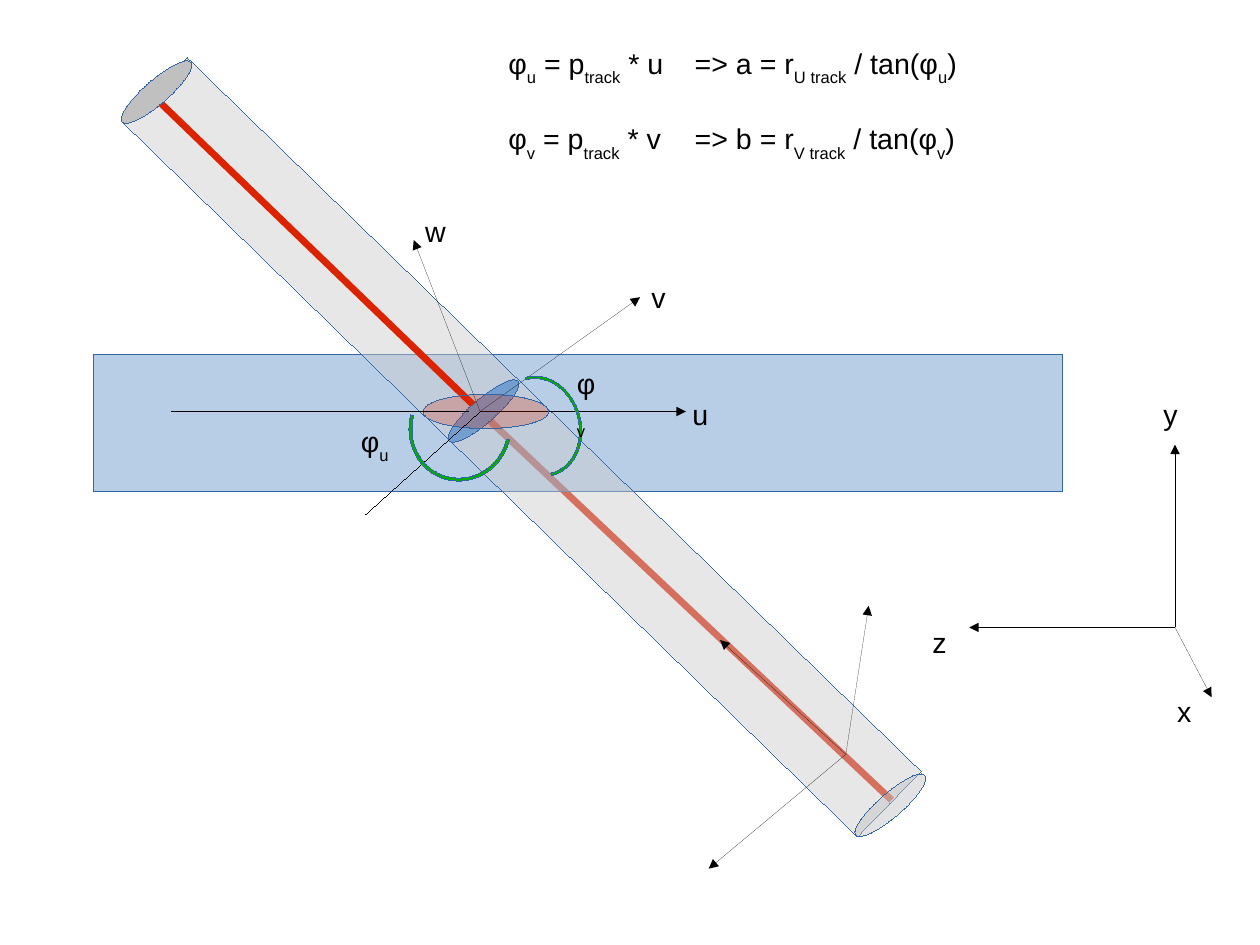
"""Build a slide showing a particle track crossing a detector plane, with its axes and angles."""
from lxml.etree import SubElement
from pptx import Presentation
from pptx.dml.color import RGBColor
from pptx.enum.shapes import MSO_CONNECTOR, MSO_SHAPE as Preset
from pptx.enum.text import MSO_ANCHOR, MSO_AUTO_SIZE
from pptx.oxml.ns import qn
from pptx.util import Inches, Pt

COLORS = {
    "track": "DC2300",
    "plane": "729FCF",
    "tube": "CCCCCC",
    "cap": "C0C0C0",
    "angle": "00AE00",
    "outline": "3465A4",
    "black": "000000",
}
TRACK_WIDTH = 4.31
CROSSING = (4.2, 3.6)
TRACK_ORIGIN = (7.4, 6.6)
WORLD_ORIGIN = (10.28, 5.49)

presentation = Presentation()
presentation.slide_width = Inches(28 / 2.54)
presentation.slide_height = Inches(21 / 2.54)
slide = presentation.slides.add_slide(presentation.slide_layouts[6])


def add_line(start, end, arrow=False, color="black", width=0):
    points = [Inches(value) for value in (*start, *end)]
    connector = slide.shapes.add_connector(MSO_CONNECTOR.STRAIGHT, *points)
    connector.line.color.rgb = RGBColor.from_string(COLORS[color])
    outline = connector.line._get_or_add_ln()
    outline.set("w", str(Pt(width)))
    if arrow:
        SubElement(outline, qn("a:tailEnd"), type="triangle")
    SubElement(connector._element.spPr, qn("a:effectLst"))


def add_preset(preset, box, color, rotation=0, opacity=100, adjustments=()):
    shape = slide.shapes.add_shape(preset, *[Inches(value) for value in box])
    shape.shadow.inherit = False
    shape.rotation = rotation
    for index, value in enumerate(adjustments):
        shape.adjustments[index] = value
    shape.fill.solid()
    shape.fill.fore_color.rgb = RGBColor.from_string(COLORS[color])
    if opacity < 100:
        fill_color = shape._element.spPr.find(qn("a:solidFill"))[0]
        SubElement(fill_color, qn("a:alpha"), val=str(opacity * 1000))
    shape.line.color.rgb = RGBColor.from_string(COLORS["outline"])
    shape.line._get_or_add_ln().set("w", "0")


add_line(CROSSING, (7.8, 7), color="track", width=TRACK_WIDTH)
add_preset(Preset.RECTANGLE, (0.82, 3.1, 8.48, 1.2), "plane", opacity=50)
add_preset(Preset.RECTANGLE, (4.17, -0.57, 0.8, 8.96), "tube", 314.2, 46)
add_line((1.3, 0.8), CROSSING, color="track", width=TRACK_WIDTH)

add_preset(Preset.OVAL, (3.83, 3.49, 0.8, 0.21), "plane", 319.1)
for axis_end in [(6, 3.6), (5.6, 2.6)]:
    add_line(CROSSING, axis_end, arrow=True)
add_preset(Preset.OVAL, (3.7, 3.45, 1.1, 0.3), "track", opacity=24)
for left, top, opacity in [(0.97, 0.7, 100), (7.39, 6.94, 46)]:
    add_preset(Preset.OVAL, (left, top, 0.8, 0.21), "cap", 319.1, opacity)

add_line(CROSSING, (3.62, 2.1), arrow=True)
for axis_end in [(6.2, 7.6), (6.3, 5.6), (7.6, 5.3)]:
    add_line(TRACK_ORIGIN, axis_end, arrow=True)
add_line(CROSSING, (3.2, 4.5))
add_line((4.1, 3.6), (1.5, 3.6))

add_preset(Preset.BLOCK_ARC, (3.58, 3.27, 0.89, 0.94), "angle", 194.2,
           adjustments=(107.91, 0.09, 0.03))
add_preset(Preset.BLOCK_ARC, (4.27, 3.36, 0.89, 0.74), "angle", 75,
           adjustments=(107.63, 0.37, 0.03))
for axis_end in [(8.48, 5.49), (10.28, 3.89), (10.6, 6.1)]:
    add_line(WORLD_ORIGIN, axis_end, arrow=True)

formulas = [
    "φ_u_ = p_track_ * u\t=> a = r_U track_ / tan(φ_u_)",
    "φ_v_ = p_track_ * v\t=> b = r_V track_ / tan(φ_v_)",
]
texts = [
    ((5.96, 3.42, 0.34, 0.38), ["u"]),
    ((5.6, 2.4, 0.32, 0.38), ["v"]),
    ((3.62, 1.82, 0.38, 0.38), ["w"]),
    ((10.2, 6.02, 0.32, 0.38), ["x"]),
    ((10.08, 3.42, 0.32, 0.38), ["y"]),
    ((8.06, 5.42, 0.32, 0.38), ["z"]),
    ((3.06, 3.66, 0.44, 0.44), ["φ_u_"]),
    ((4.95, 3.15, 0.43, 0.44), ["φ_v_"]),
    ((4.35, 0.35, 4.2, 1.06), formulas),
]
for box, lines in texts:
    text_box = slide.shapes.add_textbox(*[Inches(value) for value in box])
    frame = text_box.text_frame
    frame.word_wrap = lines is formulas
    frame.auto_size = MSO_AUTO_SIZE.SHAPE_TO_FIT_TEXT
    frame.vertical_anchor = MSO_ANCHOR.TOP
    for index, line in enumerate(lines):
        paragraph = frame.add_paragraph() if index else frame.paragraphs[0]
        paragraph.font.name = "Arial"
        paragraph.font.size = Pt(18)
        paragraph.font.color.rgb = RGBColor.from_string(COLORS["black"])
        if index:
            paragraph.space_before = Pt(21.6)
        if "\t" in line:
            tab_list = paragraph._p.get_or_add_pPr().makeelement(qn("a:tabLst"))
            SubElement(tab_list, qn("a:tab"), pos=str(Inches(1.63)), algn="l")
            paragraph.font._element.addprevious(tab_list)
        for position, part in enumerate(line.split("_")):
            if part:
                run = paragraph.add_run()
                run.text = part
                if position % 2:
                    run.font._element.set("baseline", "-33000")

presentation.save("out.pptx")
